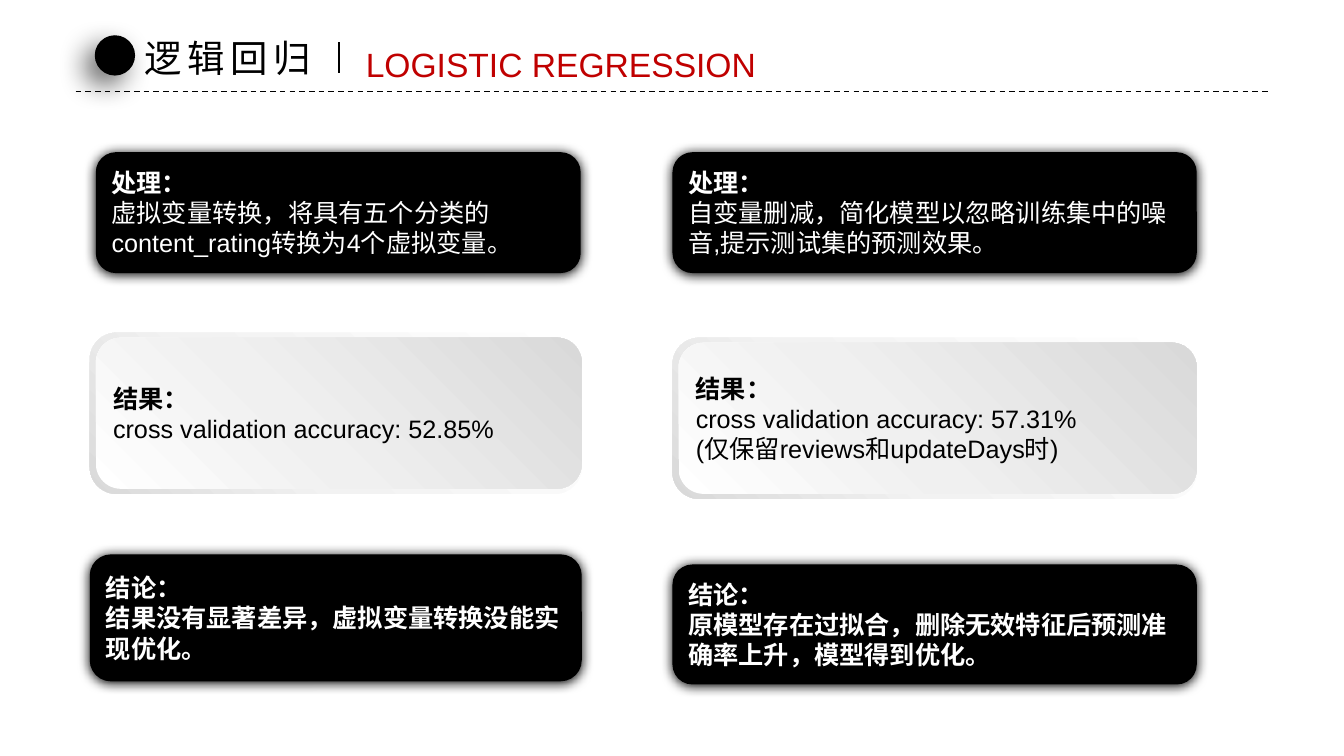
import dataclasses

import lxml.etree
import pptx
import pptx.dml.color
import pptx.enum.dml
import pptx.enum.shapes
import pptx.enum.text
import pptx.oxml.ns
import pptx.util

Inches = pptx.util.Inches
qn = pptx.oxml.ns.qn


@dataclasses.dataclass(frozen=True)
class Theme:
    black: str = "000000"
    white: str = "FFFFFF"
    accent: str = "C00000"
    rim_stops: tuple = ((0, "FFFFFF"), (62, "F2F2F2"), (100, "D9D9D9"))
    face_stops: tuple = ((0, "FFFFFF"), (42, "F0F0F0"), (100, "D9D9D9"))
    latin: str = "Arial"
    label: str = "Calibri"
    chinese: str = "Noto Sans CJK SC"
    title_size: float = 26.7
    subtitle_size: float = 24
    body_size: float = 18


class SlideBuilder:
    def __init__(self, presentation, theme):
        self.theme = theme
        self.slide = presentation.slides.add_slide(presentation.slide_layouts[5])

    def style(self, paragraph, size, color, latin, bold=False, spacing=0):
        paragraph.alignment = pptx.enum.text.PP_ALIGN.LEFT
        font = paragraph.font
        font.size = pptx.util.Pt(size)
        font.bold = bold
        font.color.rgb = pptx.dml.color.RGBColor.from_string(color)
        font.name = latin
        properties = paragraph._p.pPr.find(qn("a:defRPr"))
        east_asian = lxml.etree.Element(qn("a:ea"), typeface=self.theme.chinese)
        properties.find(qn("a:latin")).addnext(east_asian)
        if spacing:
            properties.set("spc", str(spacing * 100))

    def title(self, text, left, top, width, height):
        shape = self.slide.shapes.title
        shape.left, shape.top = Inches(left), Inches(top)
        shape.width, shape.height = Inches(width), Inches(height)
        self.heading(shape, text, self.theme.title_size, self.theme.black,
                     self.theme.chinese, spacing=4)

    def subtitle(self, text, left, top, width, height):
        shape = self.slide.shapes.add_textbox(
            Inches(left), Inches(top), Inches(width), Inches(height))
        self.heading(shape, text, self.theme.subtitle_size, self.theme.accent,
                     self.theme.latin)

    def heading(self, shape, text, size, color, latin, spacing=0):
        frame = shape.text_frame
        frame.text = text
        frame.word_wrap = False
        frame.auto_size = pptx.enum.text.MSO_AUTO_SIZE.SHAPE_TO_FIT_TEXT
        frame.vertical_anchor = pptx.enum.text.MSO_ANCHOR.TOP
        self.style(frame.paragraphs[0], size, color, latin, spacing=spacing)

    def line(self, start, end, width, dash=None):
        connector = self.slide.shapes.add_connector(
            pptx.enum.shapes.MSO_CONNECTOR.STRAIGHT,
            *map(Inches, start), *map(Inches, end))
        connector.line.color.rgb = pptx.dml.color.RGBColor.from_string(self.theme.black)
        connector.line.width = pptx.util.Pt(width)
        connector.line.dash_style = dash
        lxml.etree.SubElement(connector._element.spPr, qn("a:effectLst"))

    def shape(self, kind, box, container=None):
        shapes = (container or self.slide).shapes
        shape = shapes.add_shape(kind, *map(Inches, box))
        shape.line.fill.background()
        shape.shadow.inherit = False
        return shape

    def solid(self, kind, box, opacity, blur, distance, direction):
        shape = self.shape(kind, box)
        shape.fill.solid()
        shape.fill.fore_color.rgb = pptx.dml.color.RGBColor.from_string(self.theme.black)
        shadow = lxml.etree.SubElement(
            shape._element.spPr.find(qn("a:effectLst")), qn("a:outerShdw"),
            blurRad=str(pptx.util.Pt(blur)), dist=str(pptx.util.Pt(distance)),
            dir=str(direction * 60000), algn="ctr", rotWithShape="0")
        color = lxml.etree.SubElement(shadow, qn("a:srgbClr"), val=self.theme.black)
        lxml.etree.SubElement(color, qn("a:alpha"), val=str(opacity * 1000))
        return shape

    def gradient(self, box, stops, angle, container):
        shape = self.shape(pptx.enum.shapes.MSO_SHAPE.ROUNDED_RECTANGLE, box, container)
        shape.fill.gradient()
        shape.fill.gradient_angle = angle
        stop_list = shape._element.spPr.find(qn("a:gradFill")).find(qn("a:gsLst"))
        for stop in list(stop_list):
            stop_list.remove(stop)
        for position, color in stops:
            stop = lxml.etree.SubElement(stop_list, qn("a:gs"), pos=str(position * 1000))
            lxml.etree.SubElement(stop, qn("a:srgbClr"), val=color)
        return shape

    def card_text(self, shape, lines, color, label_font, bold_body=False):
        frame = shape.text_frame
        frame.word_wrap = True
        frame.vertical_anchor = pptx.enum.text.MSO_ANCHOR.MIDDLE
        frame.text = "\n".join(lines)
        for index, paragraph in enumerate(frame.paragraphs):
            self.style(paragraph, self.theme.body_size, color,
                       self.theme.latin if index else label_font,
                       bold=bold_body or index == 0)

    def dark_card(self, box, lines, bold_body=False):
        card = self.solid(pptx.enum.shapes.MSO_SHAPE.ROUNDED_RECTANGLE, box,
                          opacity=100, blur=8.5, distance=1, direction=90)
        self.card_text(card, lines, self.theme.white, self.theme.latin, bold_body)

    def result_card(self, box, lines):
        left, top, width, height = box
        inset = 0.06
        group = self.slide.shapes.add_group_shape()
        self.gradient(box, self.theme.rim_stops, 225, group)
        face = self.gradient(
            (left + inset, top + 0.05, width - inset, height - 0.1),
            self.theme.face_stops, 45, group)
        self.card_text(face, lines, self.theme.black, self.theme.label)


def main():
    presentation = pptx.Presentation()
    presentation.slide_width = Inches(13.33)
    presentation.slide_height = Inches(7.5)
    builder = SlideBuilder(presentation, Theme())

    builder.line((0.75, 0.91), (12.58, 0.91), 1, pptx.enum.dml.MSO_LINE.DASH)
    builder.solid(pptx.enum.shapes.MSO_SHAPE.OVAL, (0.94, 0.35, 0.4, 0.4),
                  opacity=60, blur=20, distance=10, direction=135)
    builder.title("逻辑回归", 1.33, 0.3, 1.92, 0.55)
    builder.subtitle("LOGISTIC REGRESSION", 3.53, 0.39, 4.11, 0.5)
    builder.line((3.36, 0.42), (3.36, 0.72), 1.5)

    builder.dark_card((0.95, 1.51, 4.81, 1.2), [
        "处理：", "虚拟变量转换，将具有五个分类的content_rating转换为4个虚拟变量。"])
    builder.result_card((0.89, 3.3, 4.88, 1.6), [
        "结果：", "cross validation accuracy: 52.85%"])
    builder.dark_card((0.89, 5.5, 4.88, 1.26), [
        "结论：", "结果没有显著差异，虚拟变量转换没能实现优化。"], bold_body=True)

    builder.dark_card((6.67, 1.51, 5.2, 1.2), [
        "处理：", "自变量删减，简化模型以忽略训练集中的噪音,提示测试集的预测效果。"])
    builder.result_card((6.67, 3.35, 5.2, 1.6), [
        "结果：", "cross validation accuracy: 57.31%", "(仅保留reviews和updateDays时)"])
    builder.dark_card((6.67, 5.6, 5.2, 1.19), [
        "结论：", "原模型存在过拟合，删除无效特征后预测准确率上升，模型得到优化。"],
        bold_body=True)

    presentation.save("out.pptx")


if __name__ == "__main__":
    main()
